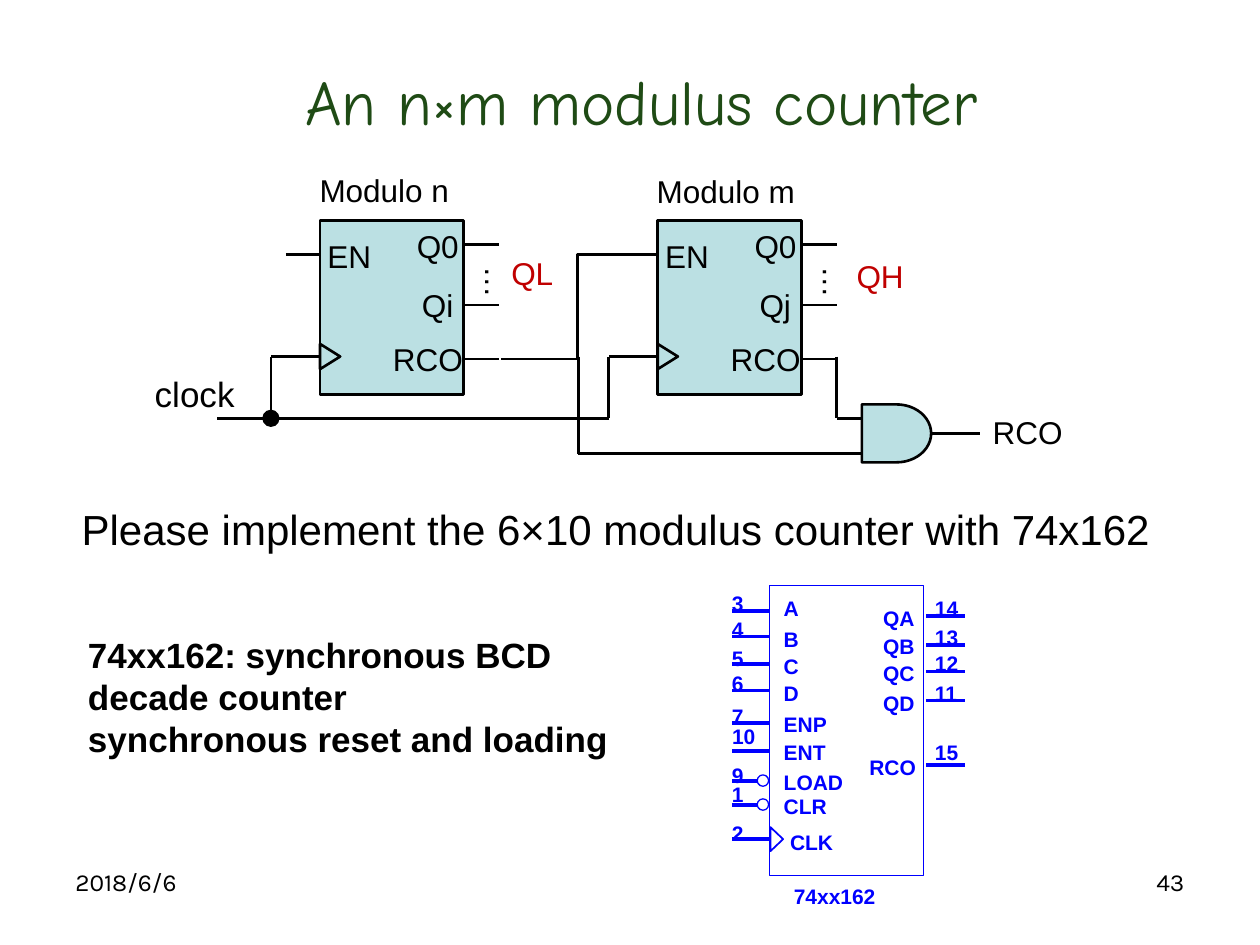
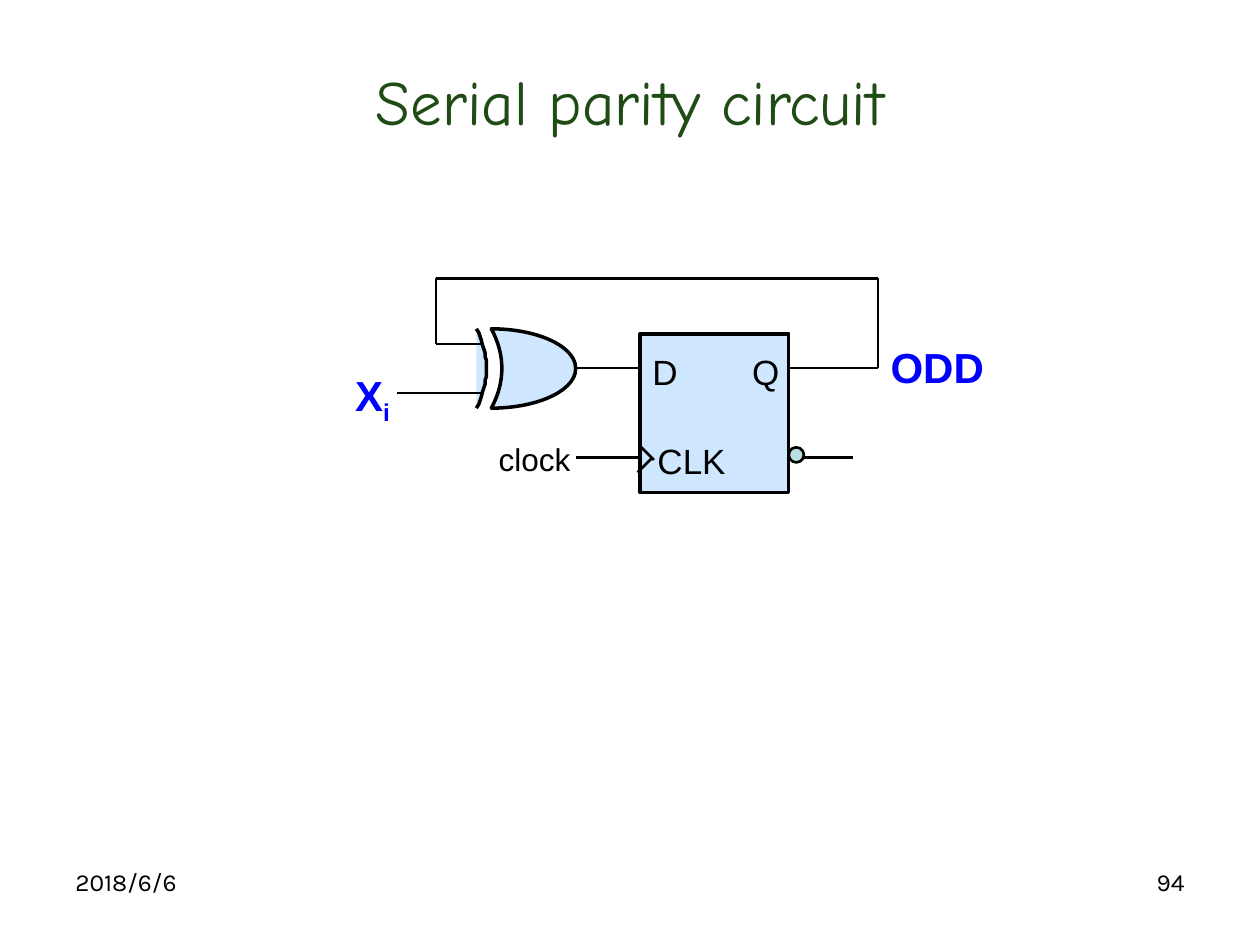
from dataclasses import dataclass

from lxml.etree import SubElement
from pptx import Presentation
from pptx.dml.color import RGBColor
from pptx.enum.shapes import MSO_CONNECTOR as Link, MSO_SHAPE as Preset
from pptx.enum.text import MSO_ANCHOR as Anchor, MSO_AUTO_SIZE as AutoSize, PP_ALIGN as Align
from pptx.oxml.ns import qn
from pptx.util import Emu, Pt

PX = 9144  # EMU per px, 100 px to the inch
COLORS = {
    "title": "1F4B15", "ink": "000000", "teal": "BBE0E3",
    "sky": "CEE7FE", "red": "C00000", "blue": "0000FF",
}
TITLE_FONT, BODY_FONT, FOOTER_FONT = "Comic Neue", "Arial", "Karla"
DATE = "2018/6/6"
TITLE_ONLY = 5


@dataclass(frozen=True)
class Label:
    text: str
    x: int
    y: int
    w: int
    h: int = 40
    size: int = 18
    color: str = "ink"
    bold: bool = False
    align: Align = Align.LEFT
    font: str = BODY_FONT
    tight: bool = False  # no insets
    wrap: bool = True
    grow: bool = True
    vertical: bool = False


@dataclass(frozen=True)
class Block:
    preset: Preset
    x: int
    y: int
    w: int
    h: int
    fill: str = ""
    line: str = "ink"
    weight: float = 1.5
    rotation: int = 0


@dataclass(frozen=True)
class Counter:
    name: str
    x: int
    last_output: str
    enable_x: int
    name_x: int
    name_y: int


@dataclass(frozen=True)
class Pin:
    name: str
    number: str
    name_y: int
    number_y: int
    wire_y: int
    name_x: int
    name_w: int
    bubble: bool = False


def px(n: float) -> Emu:
    return Emu(round(n * PX))


def rgb(name: str) -> RGBColor:
    return RGBColor.from_string(COLORS[name])


# Drawing helpers
def style_font(p, name: str, size: int, color: str, bold: bool = False) -> None:
    p.font.name, p.font.size, p.font.bold = name, Pt(size), bold
    p.font.color.rgb = rgb(color)


def add_label(s, label: Label):
    box = s.shapes.add_textbox(*map(px, (label.x, label.y, label.w, label.h)))
    tf = box.text_frame
    tf.word_wrap = label.wrap
    tf.auto_size = AutoSize.SHAPE_TO_FIT_TEXT if label.grow else AutoSize.NONE
    if label.tight:
        tf.margin_left = tf.margin_top = tf.margin_right = tf.margin_bottom = 0
    if label.vertical:
        box._element.txBody.find(qn("a:bodyPr")).set("vert", "eaVert")
    tf.text = label.text
    for p in tf.paragraphs:
        p.alignment = label.align
        style_font(p, label.font, label.size, label.color, label.bold)
    return tf


def style_shape(shape, fill: str, line: str, weight: float) -> None:
    shape.shadow.inherit = False
    if fill:
        shape.fill.solid()
        shape.fill.fore_color.rgb = rgb(fill)
    else:
        shape.fill.background()
    shape.line.color.rgb = rgb(line)
    shape.line.width = Pt(weight)


def add_block(s, b: Block):
    shape = s.shapes.add_shape(b.preset, *map(px, (b.x, b.y, b.w, b.h)))
    shape.rotation = b.rotation
    style_shape(shape, b.fill, b.line, b.weight)
    return shape


def add_wire(s, *points: tuple[int, int], color: str = "ink", weight: float = 1.5,
             kind: Link = Link.STRAIGHT):
    """Join the points in turn and return the last connector."""
    for start, end in zip(points, points[1:]):
        wire = s.shapes.add_connector(kind, *map(px, start + end))
        wire.line.color.rgb = rgb(color)
        wire.line.width = Pt(weight)
        SubElement(wire._element.spPr, qn("a:effectLst"))
    return wire


def add_slide(prs, title: str, number: int, title_x: int):
    s = prs.slides.add_slide(prs.slide_layouts[TITLE_ONLY])
    sp = s.shapes.title
    sp.left, sp.top, sp.width, sp.height = map(px, (title_x, 30, 900, 99))
    tf = sp.text_frame
    tf.text = title
    tf.vertical_anchor = Anchor.MIDDLE
    p = tf.paragraphs[0]
    p.alignment = Align.CENTER
    style_font(p, TITLE_FONT, 36, "title")
    for text, x, align in ((DATE, 50, Align.LEFT), (str(number), 717, Align.RIGHT)):
        add_label(s, Label(text, x, 683, 233, 52, size=14, font=FOOTER_FONT,
                           align=align, grow=False))
    return s


# Modulus counter slide
COUNTERS = (
    Counter("Modulo n", 254, "Qi", 227, 231, 131),
    Counter("Modulo m", 522, "Qj", 491, 502, 132),
)
LEFT_PINS = (
    Pin("A", "3", 473, 469, 485, 622, 12),
    Pin("B", "4", 497, 489, 505, 622, 12),
    Pin("C", "5", 519, 512, 527, 622, 12),
    Pin("D", "6", 540, 532, 548, 622, 12),
    Pin("ENP", "7", 565, 558, 574, 622, 35),
    Pin("ENT", "10", 587, 574, 596, 622, 34),
    Pin("LOAD", "9", 611, 605, 620, 622, 48, bubble=True),
    Pin("CLR", "1", 630, 620, 639, 622, 35, bubble=True),
    Pin("CLK", "2", 658, 651, 666, 627, 35),
)
RIGHT_PINS = (
    Pin("QA", "14", 481, 473, 489, 701, 25),
    Pin("QB", "13", 503, 496, 512, 701, 25),
    Pin("QC", "12", 524, 516, 533, 701, 25),
    Pin("QD", "11", 548, 540, 556, 701, 25),
    Pin("RCO", "15", 599, 587, 607, 690, 37),
)


def add_counter(s, c: Counter) -> None:
    right = c.x + 114
    add_block(s, Block(Preset.RECTANGLE, c.x, 175, 114, 138, "teal"))
    add_block(s, Block(Preset.ISOSCELES_TRIANGLE, c.x - 2, 275, 20, 16, "teal", rotation=90))
    add_wire(s, (c.x, 283), (c.x - 39, 283))
    add_wire(s, (c.enable_x, 202), (c.x, 202))
    for y in (194, 242, 285):
        add_wire(s, (right, y), (right + 28, y))
    for text, dx, y, w in (("Q0", 67, 175, 54), (c.last_output, 71, 222, 54),
                           ("RCO", 48, 265, 85), ("EN", -4, 183, 59)):
        add_label(s, Label(text, c.x + dx, y, w))
    add_label(s, Label(c.name, c.name_x, c.name_y, 148, align=Align.CENTER))
    add_label(s, Label("…", c.x + 111, 202, 50, 35, vertical=True))


def add_chip_label(s, text: str, x: int, y: int, w: int) -> None:
    add_label(s, Label(text, x, y, w, 20, size=12, color="blue", bold=True,
                       tight=True, wrap=False))


def add_pin(s, pin: Pin, number_x: int, wire_from: int, wire_to: int) -> None:
    add_chip_label(s, pin.name, pin.name_x, pin.name_y, pin.name_w)
    add_chip_label(s, pin.number, number_x, pin.number_y, 9 * len(pin.number) + 1)
    if pin.bubble:
        wire_from -= 10
        add_block(s, Block(Preset.OVAL, wire_from, pin.wire_y - 5, 9, 9, line="blue", weight=0))
    add_wire(s, (wire_from, pin.wire_y), (wire_to, pin.wire_y), color="blue", weight=0)


def build_modulus_counter(prs) -> None:
    s = add_slide(prs, "An n×m modulus counter", 43, 59)

    # Clock line with its junction dot
    add_label(s, Label("clock", 113, 291, 87, 44, size=20))
    add_wire(s, (483, 283), (483, 332), (172, 332))
    junction = add_wire(s, (215, 283), (215, 332))
    SubElement(junction.line._get_or_add_ln(), qn("a:tailEnd"), type="oval", w="lg", len="lg")

    # Cascaded counters
    for c in COUNTERS:
        add_counter(s, c)
    add_label(s, Label("QL", 396, 197, 63, color="red"))
    add_label(s, Label("QH", 670, 199, 63, color="red"))
    carry = add_wire(s, (398, 285), (491, 202), kind=Link.ELBOW)
    guides = carry._element.spPr.find(qn("a:prstGeom")).get_or_add_avLst()
    SubElement(guides, qn("a:gd"), name="adj1", fmla="val 64700")

    # Carry gate
    add_wire(s, (459, 283), (459, 360), (684, 360))
    add_wire(s, (664, 283), (664, 332), (684, 332))
    add_block(s, Block(Preset.FLOWCHART_DELAY, 684, 321, 55, 46, "teal"))
    add_wire(s, (739, 344), (778, 344))
    add_label(s, Label("RCO", 778, 323, 76, wrap=False))

    # Exercise
    add_label(s, Label("Please implement the 6×10 modulus counter with 74x162",
                       55, 395, 910, 50, size=24))
    add_label(s, Label("74xx162: synchronous BCD decade counter\nsynchronous reset and loading",
                       60, 498, 453, 145, size=20, bold=True))

    # Chip pinout
    add_chip_label(s, "74xx162", 630, 701, 65)
    add_block(s, Block(Preset.RECTANGLE, 611, 465, 122, 230, line="blue", weight=0))
    for pin in RIGHT_PINS:
        add_pin(s, pin, 742, 735, 766)
    for pin in LEFT_PINS:
        add_pin(s, pin, 581, 611, 581)
    add_block(s, Block(Preset.ISOSCELES_TRIANGLE, 607, 661, 19, 10, line="blue",
                       weight=1, rotation=90))


# Serial parity slide
def add_xor_gate(s) -> None:
    body = add_block(s, Block(Preset.MOON, 390, 261, 67, 63, "sky", weight=2))
    body.adjustments[0] = 0.875
    body._element.spPr.find(qn("a:xfrm")).set("flipH", "1")
    steps = [i / 10 for i in range(-10, 11)]
    arc = [(378 + 8 * (1 - t * t), 292.5 + 31.5 * t) for t in steps]
    pen = s.shapes.build_freeform(*arc[0], scale=PX)
    pen.add_line_segments(arc[1:], close=False)
    style_shape(pen.convert_to_shape(), "sky", "ink", 2)


def build_serial_parity(prs) -> None:
    s = add_slide(prs, "Serial parity circuit", 94, 50)

    # Flip-flop
    add_block(s, Block(Preset.RECTANGLE, 508, 265, 118, 126, "sky", weight=2))
    for y, right in ((292, 697), (363, 677)):
        add_wire(s, (457, y), (508, y))
        add_wire(s, (626, y), (right, y))
    add_block(s, Block(Preset.OVAL, 626, 355, 12, 12, "teal"))
    add_wire(s, (508, 354), (519, 365))
    add_wire(s, (506, 375), (517, 364))
    for text, x, y, w in (("D", 508, 273, 39), ("CLK", 512, 344, 83), ("Q", 587, 273, 35)):
        add_label(s, Label(text, x, y, w, 43, size=20))

    # Gate with feedback
    add_xor_gate(s)
    add_wire(s, (697, 292), (697, 221), (346, 221), (346, 273), (382, 273))
    add_wire(s, (382, 312), (315, 312))

    # Signals
    tf = add_label(s, Label("X", 272, 288, 51, 50, size=24, color="blue", bold=True))
    r = tf.paragraphs[0].add_run()
    r.text = "i"
    r.font._element.set("baseline", "-25000")
    add_label(s, Label("clock", 386, 344, 83))
    add_label(s, Label("ODD", 697, 266, 94, 50, size=24, color="blue", bold=True))


def main() -> None:
    prs = Presentation()
    prs.slide_width, prs.slide_height = px(1000), px(750)
    build_modulus_counter(prs)
    build_serial_parity(prs)
    prs.save("out.pptx")


if __name__ == "__main__":
    main()
